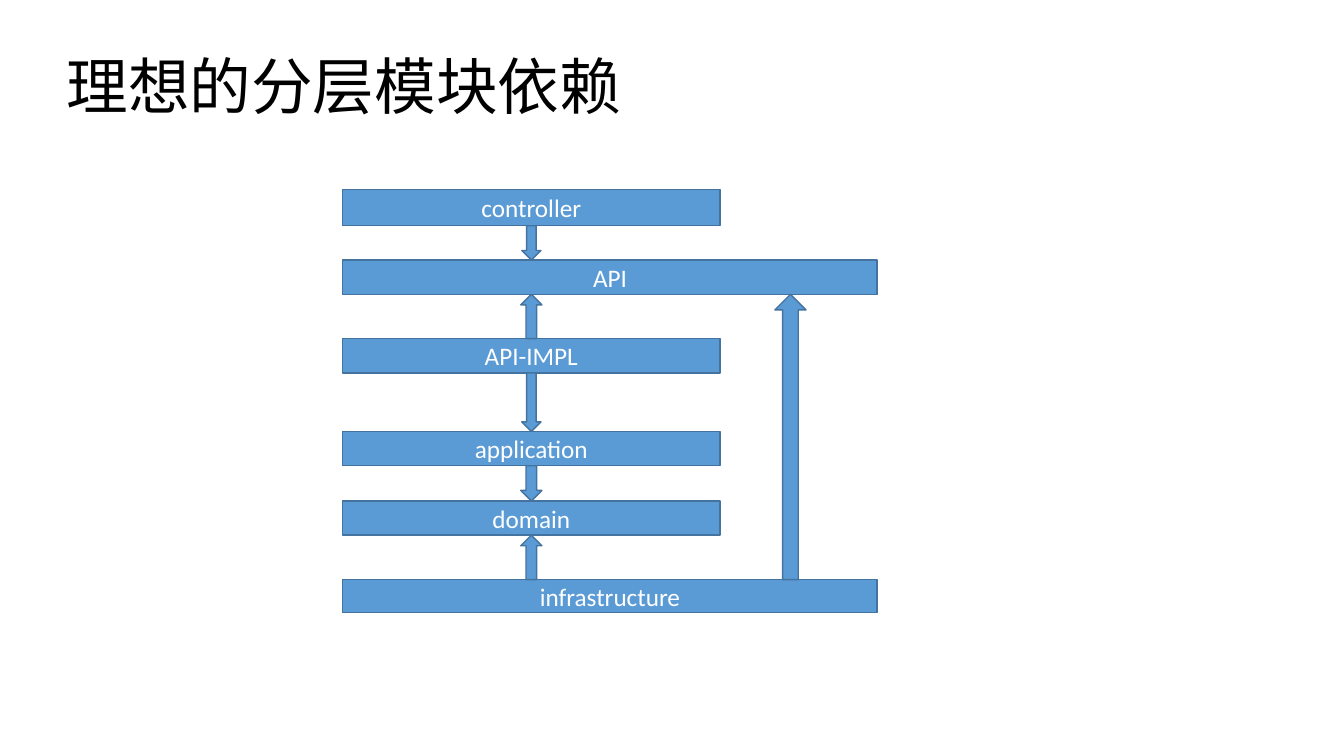
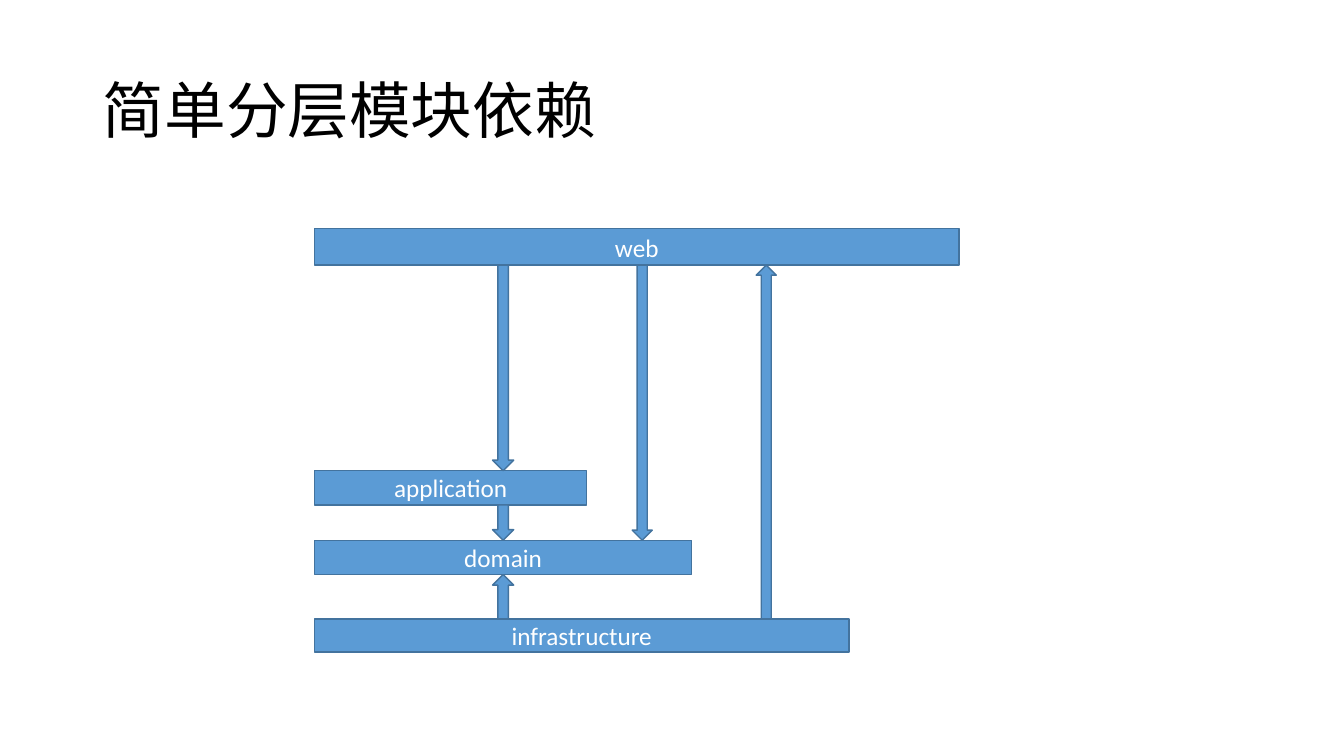
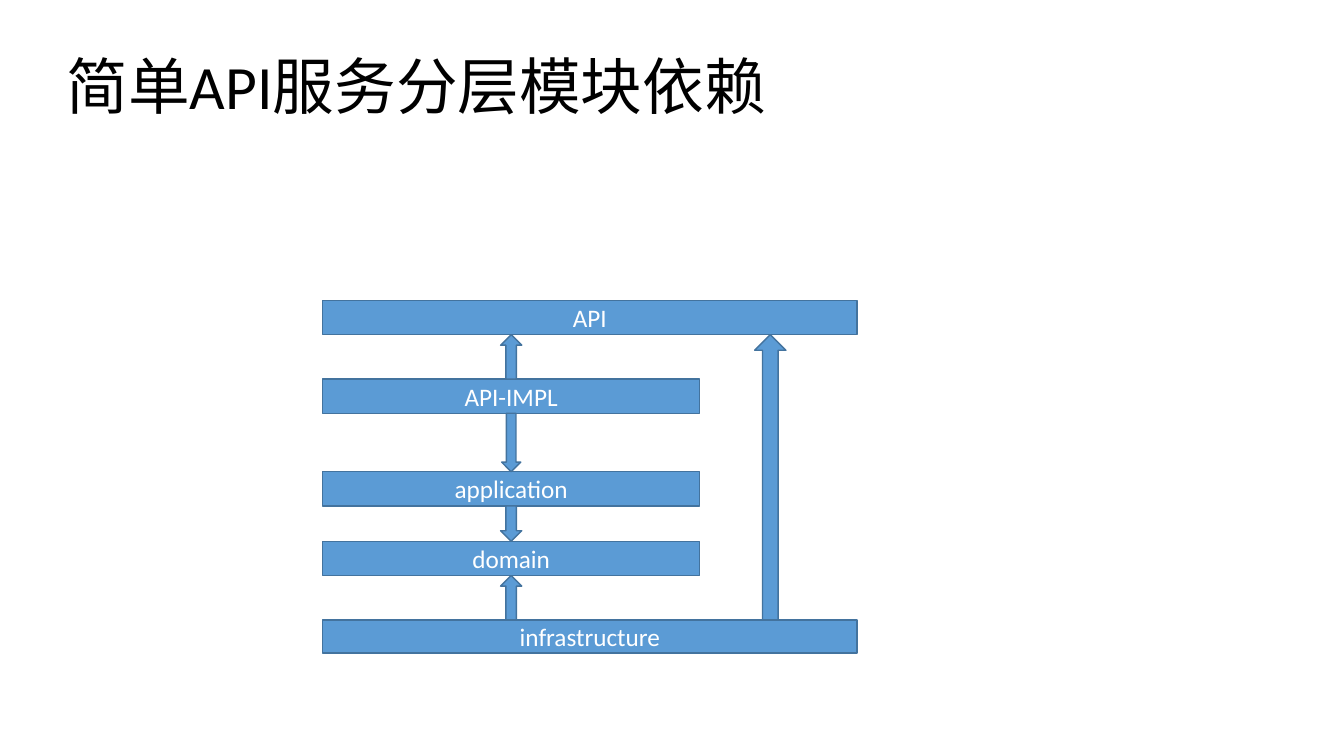
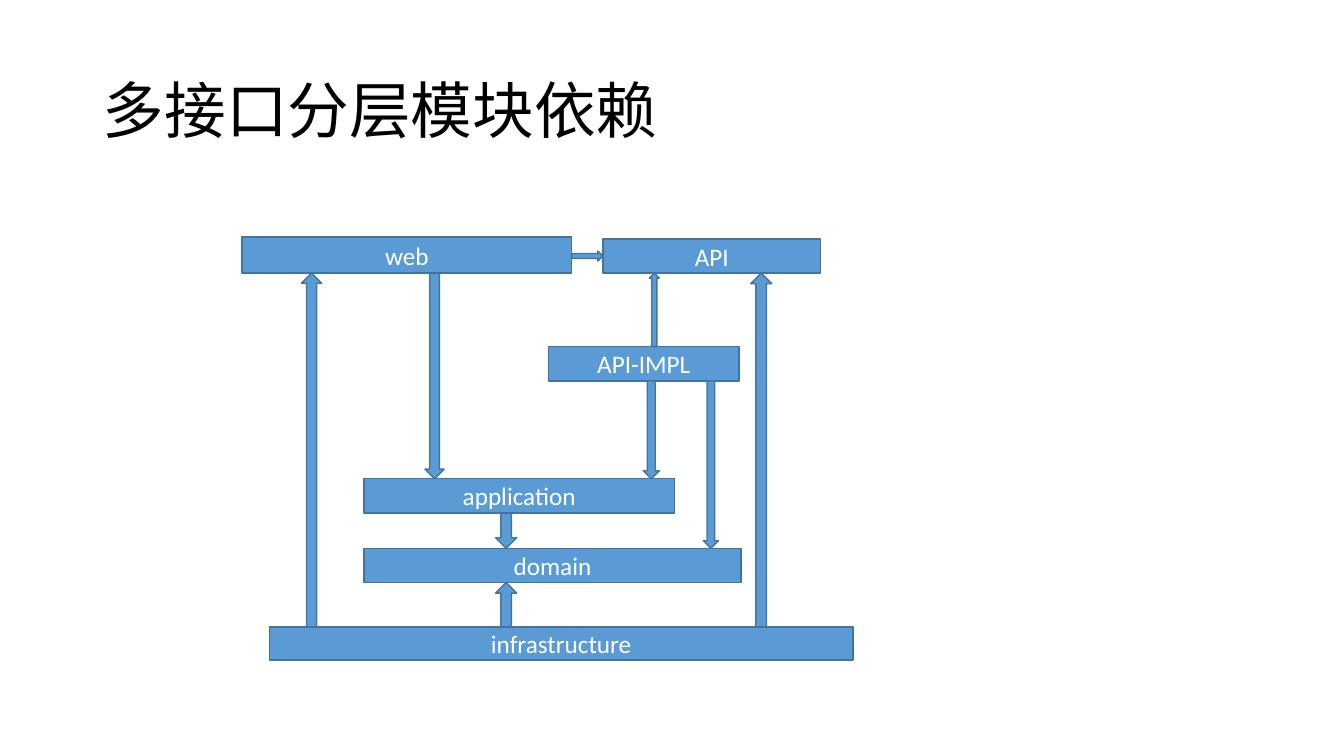
from pptx import Presentation
from pptx.dml.color import RGBColor
from pptx.enum.shapes import MSO_SHAPE
from pptx.enum.text import MSO_ANCHOR, MSO_AUTO_SIZE, PP_ALIGN
from pptx.util import Inches, Pt

# Shared style
FONT, BLACK, WHITE, BLUE, EDGE = "Calibri", "000000", "FFFFFF", "5B9BD5", "43739E"
TITLE_SIZE = (11.5, 1.45)
HIGH, LOW = (0.56, 0.16), (0.92, 0.4)  # the two title positions

# Rows of the layer stack, in inches below the top of the diagram
ROWS = {"controller": 0, "web": 0, "API": 0.7, "API-IMPL": 1.48,
        "application": 2.4, "domain": 3.09, "infrastructure": 3.87}
HEIGHTS = {"controller": 0.36, "web": 0.36, "infrastructure": 0.33}
BAR_H, BAR_W, WIDE_W = 0.34, 3.74, 5.3
MID = BAR_W / 2

# Bars: name -> (left, width[, top]); arrows: (from, to, centre, thickness)
SERVICE_BARS = {"API": (0, WIDE_W), "API-IMPL": (0, BAR_W),
                "application": (0, BAR_W), "domain": (0, BAR_W),
                "infrastructure": (0, WIDE_W)}
SERVICE_ARROWS = [("API-IMPL", "API", MID, 0.21),
                  ("API-IMPL", "application", MID, 0.19),
                  ("application", "domain", MID, 0.21),
                  ("infrastructure", "domain", MID, 0.21),
                  ("infrastructure", "API", 4.44, 0.31)]

SLIDES = [
    dict(title="理想的分层模块依赖", title_at=HIGH, origin=(3.4, 1.88),
         bars={"controller": (0, BAR_W), **SERVICE_BARS},
         arrows=[("controller", "API", MID, 0.19), *SERVICE_ARROWS]),
    dict(title="简单分层模块依赖", title_at=LOW, origin=(3.12, 2.27),
         bars={"web": (0, 6.39), "application": (0, 2.7),
               "domain": (0, BAR_W), "infrastructure": (0, WIDE_W)},
         arrows=[("web", "application", MID, 0.21),
                 ("application", "domain", MID, 0.21),
                 ("infrastructure", "domain", MID, 0.21),
                 ("web", "domain", 3.25, 0.2),
                 ("infrastructure", "web", 4.48, 0.2)]),
    dict(title="简单API服务分层模块依赖", title_at=HIGH, origin=(3.2, 2.28),
         bars=SERVICE_BARS, arrows=SERVICE_ARROWS),
    dict(title="多接口分层模块依赖", title_at=LOW, origin=(2.4, 2.35),
         bars={"web": (0, 3.27), "API": (3.58, 2.16, 0.02),
               "API-IMPL": (3.04, 1.89, 1.09), "application": (1.21, 3.08),
               "domain": (1.21, BAR_W), "infrastructure": (0.27, 5.79)},
         arrows=[("web", "API", 0.19, 0.1),
                 ("web", "application", 1.91, 0.19),
                 ("API-IMPL", "API", 4.09, 0.1),
                 ("API-IMPL", "application", 4.06, 0.16),
                 ("API-IMPL", "domain", 4.65, 0.15),
                 ("application", "domain", 2.62, 0.21),
                 ("infrastructure", "domain", 2.62, 0.21),
                 ("infrastructure", "web", 0.69, 0.2),
                 ("infrastructure", "API", 5.15, 0.21)]),
]


def color(value):
    return RGBColor.from_string(value)


def write(tf, text, size, ink, align):
    tf.word_wrap = True
    tf.vertical_anchor = MSO_ANCHOR.MIDDLE
    p = tf.paragraphs[0]
    p.alignment = align
    r = p.add_run()
    r.text = text
    r.font.name, r.font.size = FONT, Pt(size)
    r.font.color.rgb = color(ink)
    return p


def add_title(s, text, at):
    sp = s.shapes.title
    sp.left, sp.top, sp.width, sp.height = map(Inches, at + TITLE_SIZE)
    sp.text_frame.auto_size = MSO_AUTO_SIZE.NONE
    write(sp.text_frame, text, 44, BLACK, PP_ALIGN.LEFT).line_spacing = 0.9


def add_block(s, kind, origin, x, y, w, h):
    sp = s.shapes.add_shape(kind, Inches(origin[0] + x), Inches(origin[1] + y),
                            Inches(w), Inches(h))
    sp.shadow.inherit = False
    sp.fill.solid()
    sp.fill.fore_color.rgb = color(BLUE)
    sp.line.color.rgb = color(EDGE)
    sp.line.width = Pt(1)
    return sp


def bar_box(name, left, width, top=None):
    return left, ROWS[name] if top is None else top, width, HEIGHTS.get(name, BAR_H)


def add_arrow(s, origin, start, end, centre, thick):
    """Fill the gap between two bars, pointing at the second one."""
    (x1, y1, w1, h1), (x2, y2, _, h2) = start, end
    edge = centre - thick / 2
    if abs(y1 - y2) < BAR_H:  # side by side
        kind, box = MSO_SHAPE.RIGHT_ARROW, (x1 + w1, edge, x2 - x1 - w1, thick)
    elif y1 < y2:
        kind, box = MSO_SHAPE.DOWN_ARROW, (edge, y1 + h1, thick, y2 - y1 - h1)
    else:
        kind, box = MSO_SHAPE.UP_ARROW, (edge, y2 + h2, thick, y1 - y2 - h2)
    add_block(s, kind, origin, *box)


prs = Presentation()
prs.slide_width, prs.slide_height = Inches(13.33), Inches(7.5)
title_only = prs.slide_layouts[5]

for item in SLIDES:
    s = prs.slides.add_slide(title_only)
    origin = item["origin"]
    add_title(s, item["title"], item["title_at"])
    boxes = {name: bar_box(name, *place) for name, place in item["bars"].items()}
    # Layer bars
    for name, box in boxes.items():
        sp = add_block(s, MSO_SHAPE.RECTANGLE, origin, *box)
        write(sp.text_frame, name, 18, WHITE, PP_ALIGN.CENTER)
    # Dependency arrows
    for start, end, centre, thick in item["arrows"]:
        add_arrow(s, origin, boxes[start], boxes[end], centre, thick)

prs.save("out.pptx")
